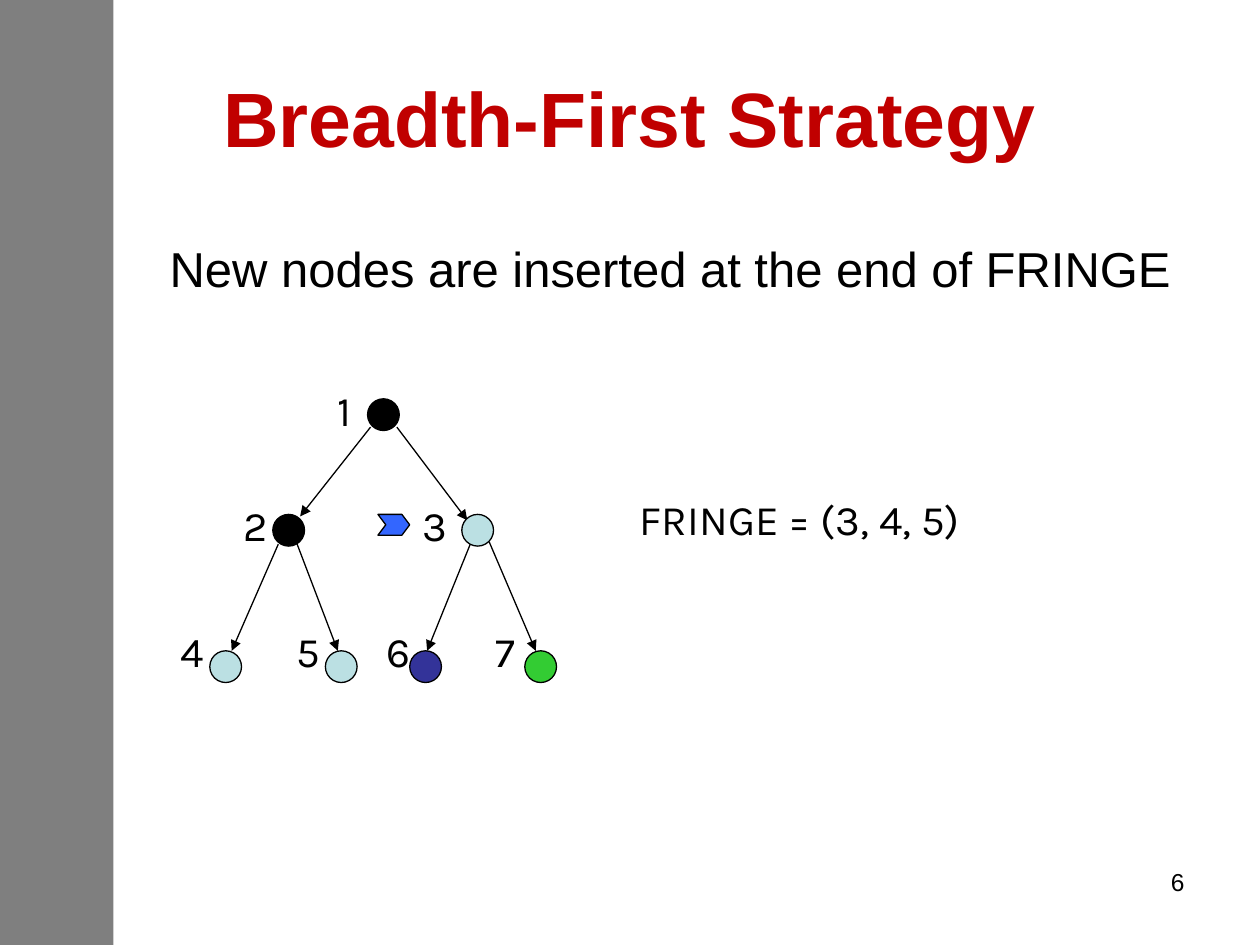
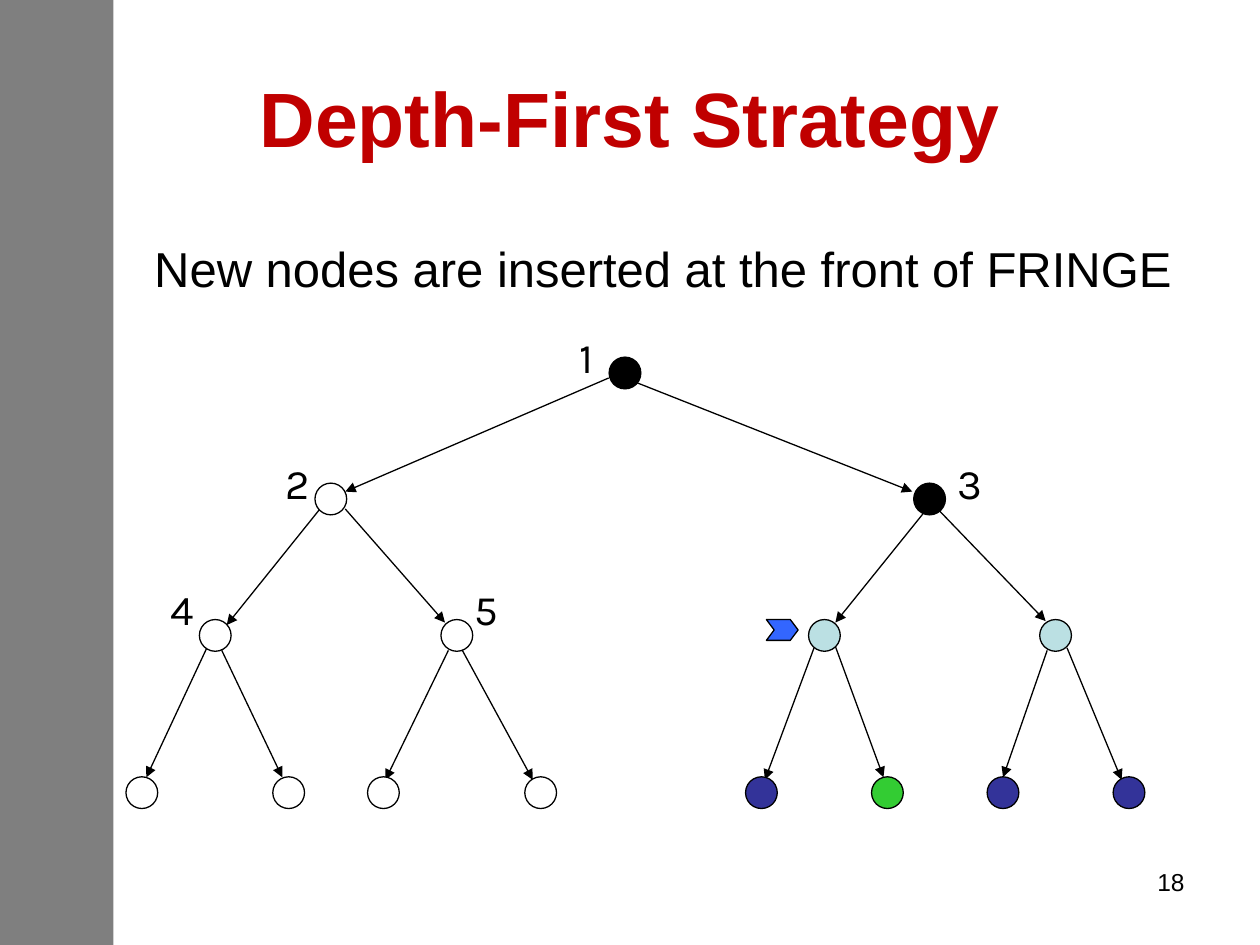
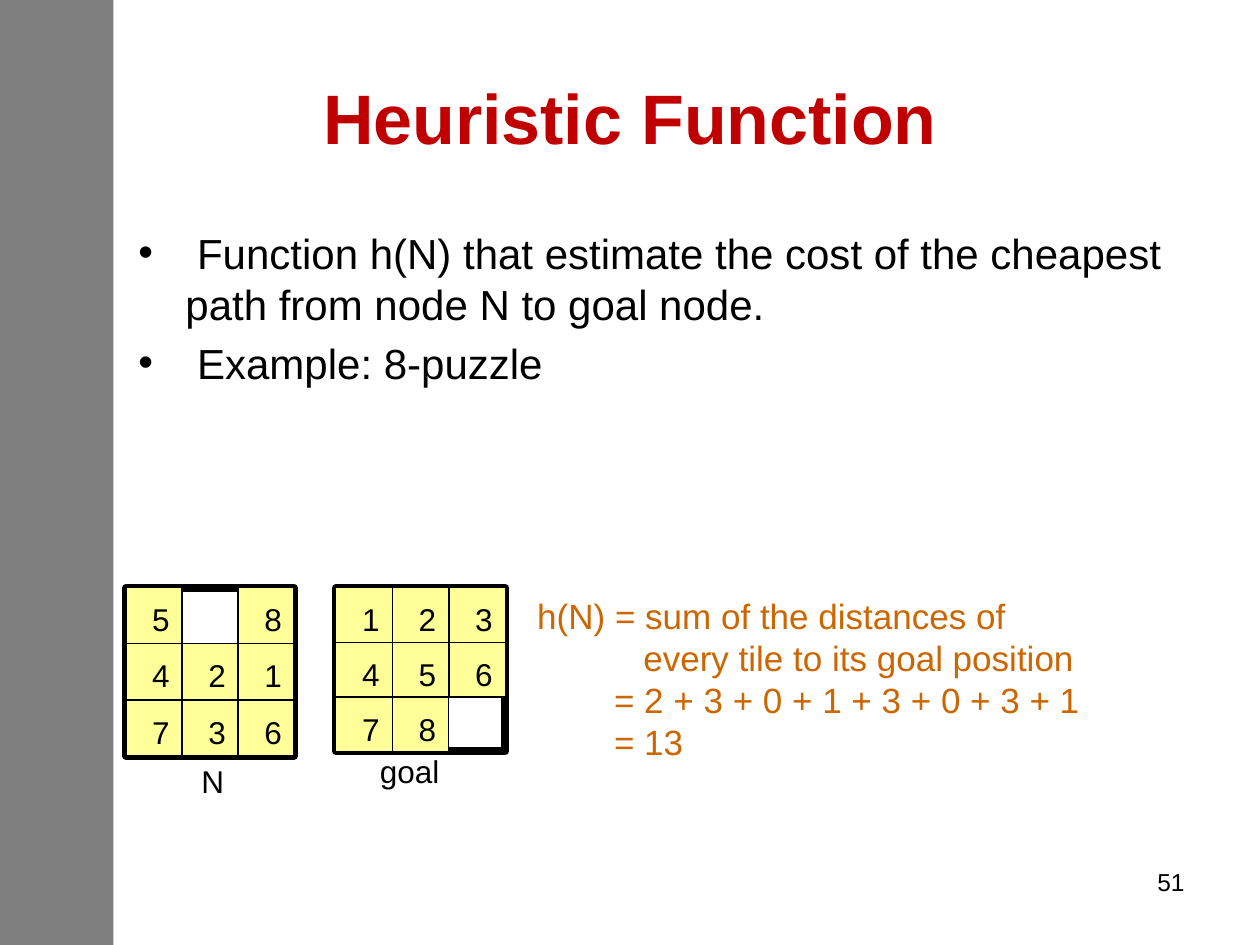
"""Build three slides on search strategies and heuristic functions."""
from lxml.etree import SubElement
from pptx import Presentation
from pptx.dml.color import RGBColor
from pptx.enum.shapes import MSO_CONNECTOR, MSO_SHAPE
from pptx.enum.text import MSO_ANCHOR, PP_ALIGN
from pptx.oxml.ns import qn
from pptx.util import Cm, Pt

BLACK = RGBColor(0x00, 0x00, 0x00)
WHITE = RGBColor(0xFF, 0xFF, 0xFF)
RED = RGBColor(0xC0, 0x00, 0x00)
TEAL = RGBColor(0xBB, 0xE0, 0xE3)
NAVY = RGBColor(0x33, 0x33, 0x99)
GREEN = RGBColor(0x33, 0xCC, 0x33)
BLUE = RGBColor(0x33, 0x66, 0xFF)
YELLOW = RGBColor(0xFF, 0xFF, 0x99)
ORANGE = RGBColor(0xCC, 0x66, 0x00)

TITLE = {"size": Pt(44), "bold": True, "name": "Arial"}
SMALL_TITLE = {**TITLE, "size": Pt(40)}
LEAD = {"size": Pt(28), "name": "Arial"}
BULLET = {"size": Pt(24), "name": "Arial"}
FORMULA = {"size": Pt(20), "name": "Arial"}
TILE = {"size": Pt(18), "name": "Arial"}
NUMBER = {"size": Pt(14), "name": "Arial"}
LABEL = {"size": Pt(24), "name": "Karla"}

NODE = 0.64
LABEL_W, LABEL_H = 0.97, 1.27


def add_text(s, lines, x, y, w, h, fmt, color=BLACK, align=PP_ALIGN.LEFT):
    tf = s.shapes.add_textbox(Cm(x), Cm(y), Cm(w), Cm(h)).text_frame
    tf.word_wrap = True
    for i, line in enumerate(lines):
        p = tf.add_paragraph() if i else tf.paragraphs[0]
        p.alignment = align
        r = p.add_run()
        r.text = line
        for key, value in fmt.items():
            setattr(r.font, key, value)
        r.font.color.rgb = color
    return tf


def add_shape(s, kind, x, y, w, h, fill=None, line=0.75):
    sp = s.shapes.add_shape(kind, Cm(x), Cm(y), Cm(w), Cm(h))
    sp.shadow.inherit = False
    if fill is None:
        sp.fill.background()
    else:
        sp.fill.solid()
        sp.fill.fore_color.rgb = fill
    if line:
        sp.line.color.rgb = BLACK
        sp.line.width = Pt(line)
    else:
        sp.line.fill.background()
    return sp


prs = Presentation()
prs.slide_width, prs.slide_height = Cm(25.4), Cm(19.05)

pages = [
    ("Breadth-First Strategy", TITLE, "6"),
    ("Depth-First Strategy", TITLE, "18"),
    ("Heuristic Function", SMALL_TITLE, "51"),
]
for title, fmt, number in pages:
    s = prs.slides.add_slide(prs.slide_layouts[6])
    band = add_shape(s, MSO_SHAPE.RECTANGLE, 0, 0, 2.29, 19.05, BLACK, 0)
    rgb = band.fill._xPr.find(".//" + qn("a:srgbClr"))
    SubElement(rgb, qn("a:alpha"), val="50000")
    tf = add_text(s, [title], 1.27, 0.76, 22.86, 3.18, fmt, RED, PP_ALIGN.CENTER)
    tf.vertical_anchor = MSO_ANCHOR.MIDDLE
    add_text(s, [number], 18.2, 17.36, 5.93, 1.32, NUMBER, align=PP_ALIGN.RIGHT)
breadth, depth, heuristic = prs.slides

breadth_tree = {
    "edges": [
        (7.47, 8.61, 6.05, 10.41), (8, 8.61, 9.42, 10.49),
        (5.61, 10.97, 4.67, 13.12), (5.99, 10.97, 6.81, 13.12),
        (9.5, 10.92, 8.61, 13.12), (9.86, 10.92, 10.8, 13.12),
    ],
    "rows": [
        (8.04, [(7.41, BLACK)]),
        (10.37, [(5.5, BLACK), (9.31, TEAL)]),
        (13.12, [(4.23, TEAL), (6.56, TEAL), (8.26, NAVY), (10.58, GREEN)]),
    ],
    "labels": [
        (6.56, 7.62), (4.66, 9.95), (8.26, 9.95),
        (3.39, 12.49), (5.72, 12.49), (7.54, 12.49), (9.74, 12.49),
    ],
    "marker": (7.62, 10.37),
}
depth_tree = {
    "edges": [
        (12.27, 7.62, 6.96, 9.91), (12.8, 7.7, 18.39, 9.91),
        (6.45, 10.26, 4.57, 12.6), (6.96, 10.26, 8.97, 12.55),
        (18.62, 10.34, 16.84, 12.55), (18.95, 10.31, 21.08, 12.52),
        (4.17, 13.06, 2.95, 15.67), (4.47, 13.11, 5.69, 15.67),
        (9.04, 13.11, 7.77, 15.72), (9.32, 13.11, 10.74, 15.72),
        (16.41, 13.06, 15.42, 15.72), (16.84, 13.03, 17.81, 15.67),
        (21.11, 13.11, 20.22, 15.67), (21.51, 13.06, 22.61, 15.72),
    ],
    "rows": [
        (7.2, [(12.28, BLACK)]),
        (9.74, [(6.35, WHITE), (18.42, BLACK)]),
        (12.49, [(4.02, WHITE), (8.89, WHITE), (16.3, TEAL), (20.96, TEAL)]),
        (15.66, [(2.54, WHITE), (5.5, WHITE), (7.41, WHITE), (10.58, WHITE),
                 (15.03, NAVY), (17.57, GREEN), (19.9, NAVY), (22.44, NAVY)]),
    ],
    "labels": [(11.43, 6.56), (5.5, 9.1), (19.05, 9.1), (3.18, 11.64), (9.31, 11.64)],
    "marker": (15.45, 12.49),
}
strategies = [
    (breadth, breadth_tree, "New nodes are inserted at the end of FRINGE", 3.17),
    (depth, depth_tree, "New nodes are inserted at the front of FRINGE", 2.86),
]
for s, tree, rule, rule_x in strategies:
    add_text(s, [rule], rule_x, 4.68, 22, 1.5, LEAD)
    for x1, y1, x2, y2 in tree["edges"]:
        edge = s.shapes.add_connector(MSO_CONNECTOR.STRAIGHT, Cm(x1), Cm(y1), Cm(x2), Cm(y2))
        edge.line.color.rgb = BLACK
        edge.line.width = Pt(0.75)
        SubElement(edge.line._get_or_add_ln(), qn("a:tailEnd"), type="triangle")
        SubElement(edge._element.spPr, qn("a:effectLst"))
    for y, nodes in tree["rows"]:
        for x, fill in nodes:
            add_shape(s, MSO_SHAPE.OVAL, x, y, NODE, NODE, fill)
    for i, (x, y) in enumerate(tree["labels"], 1):
        add_text(s, [str(i)], x, y, LABEL_W, LABEL_H, LABEL)
    sp = add_shape(s, MSO_SHAPE.CHEVRON, *tree["marker"], NODE, 0.42, BLUE)
    sp.adjustments[0] = 0.375
add_text(breadth, ["FRINGE = (3, 4, 5)"], 12.65, 9.83, 7.62, 1.27, LABEL)

points = [
    " Function h(N) that estimate the cost of the cheapest path from node N to goal node.",
    " Example: 8-puzzle",
]
tf = add_text(heuristic, points, 2.54, 4.45, 22.86, 5, BULLET)
for p in tf.paragraphs:
    p.line_spacing = Pt(29)
    pPr = p._p.get_or_add_pPr()
    pPr.set("marL", str(Cm(0.95)))
    pPr.set("indent", str(Cm(-0.95)))
    SubElement(pPr, qn("a:buFont"), typeface="Arial")
    SubElement(pPr, qn("a:buChar"), char="•")
tf.paragraphs[1].space_before = Pt(4.8)

PUZZLE_Y = 11.85
puzzles = [
    (2.54, 1.13, 1.13, ["5 8", "421", "736"]),
    (6.77, 1.14, 1.1, ["123", "456", "78 "]),
]
for left, tile_w, tile_h, board in puzzles:
    add_shape(heuristic, MSO_SHAPE.RECTANGLE, left, PUZZLE_Y, 3 * tile_w, 3 * tile_h, line=4.5)
    for row, digits in enumerate(board):
        for col, digit in enumerate(digits):
            if digit != " ":
                x, y = left + col * tile_w, PUZZLE_Y + row * tile_h
                add_shape(heuristic, MSO_SHAPE.RECTANGLE, x, y, tile_w, tile_h, YELLOW)
                add_text(heuristic, [digit], x + 0.28, y + 0.13, LABEL_W, LABEL_H, TILE)
add_text(heuristic, ["N"], 3.81, 15.24, 1.07, 1.27, TILE)
add_text(heuristic, ["goal"], 7.41, 15.03, 2.08, 1.27, TILE)

formula = [
    "h(N) = sum of the distances of",
    "every tile to its goal position",
    "= 2 + 3 + 0 + 1 + 3 + 0 + 3 + 1",
    "= 13",
]
tf = add_text(heuristic, formula, 10.58, 11.85, 12, 3.68, FORMULA, ORANGE)
for p, margin in zip(tf.paragraphs, (0, 2.14, 1.55, 1.55)):
    p._p.get_or_add_pPr().set("marL", str(Cm(margin)))

prs.save("out.pptx")
